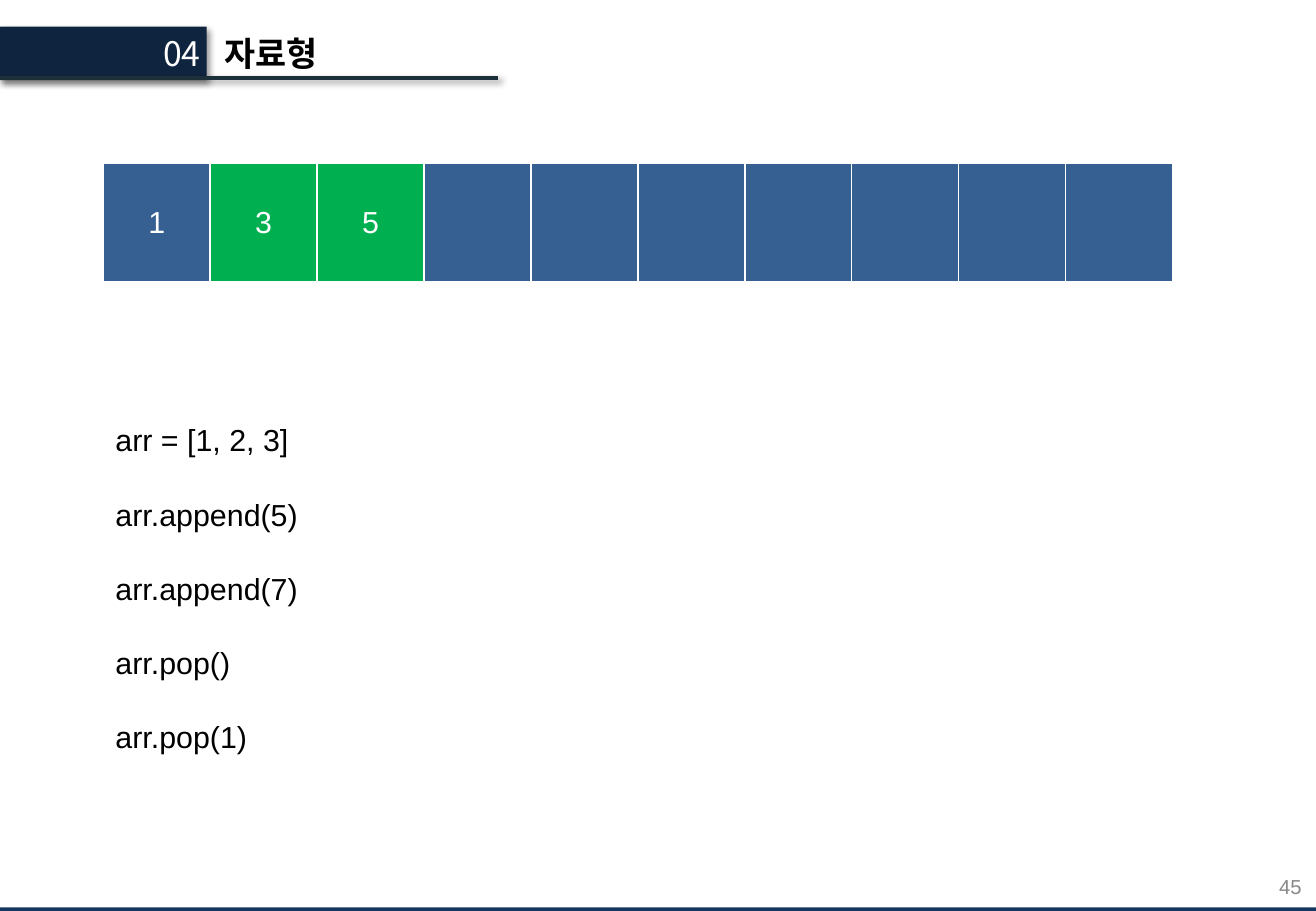
from pptx import Presentation
from pptx.util import Inches, Pt
from pptx.dml.color import RGBColor
from pptx.enum.shapes import MSO_SHAPE as Shape, MSO_CONNECTOR as Line
from pptx.enum.text import PP_ALIGN as Align, MSO_ANCHOR as Anchor, MSO_AUTO_SIZE as Fit
from pptx.oxml import parse_xml
from pptx.oxml.ns import qn
from lxml.etree import SubElement

NS = 'xmlns:a="http://schemas.openxmlformats.org/drawingml/2006/main"'
SANS, KOREAN = "Arial", "Noto Sans CJK KR"
rgb = RGBColor.from_string


def write(frame, text, size, face, color, align=Align.LEFT, bold=False):
    frame.text = text
    for para in frame.paragraphs:
        para.alignment = align
        for run in para.runs:
            font = run.font
            font.size, font.name, font.bold = Pt(size), face, bold
            font.color.rgb = rgb(color)
            SubElement(font._element, qn("a:ea"), typeface=face)


def shade(props):
    props.append(parse_xml(
        f'<a:effectLst {NS}><a:outerShdw blurRad="{Pt(4)}" dist="{Pt(3)}" '
        'dir="2700000" algn="tl" rotWithShape="0"><a:srgbClr val="000000">'
        '<a:alpha val="40000"/></a:srgbClr></a:outerShdw></a:effectLst>'))


deck = Presentation()
deck.slide_width, deck.slide_height = Inches(10.83), Inches(7.5)
slide = deck.slides.add_slide(deck.slide_layouts[1])
shapes = slide.shapes
title, body = slide.placeholders

# Footer bar and page number
bar = shapes.add_shape(Shape.RECTANGLE, Inches(-0.1), Inches(7.47), Inches(11.03), Inches(0.09))
bar.fill.solid()
bar.fill.fore_color.rgb = rgb("17365D")
bar.line.fill.background()
bar.shadow.inherit = False

page = shapes.add_textbox(Inches(8.28), Inches(7.1), Inches(2.53), Inches(0.4))
page.text_frame.word_wrap = True
page.text_frame.vertical_anchor = Anchor.MIDDLE
write(page.text_frame, "45", 12, SANS, "888888", Align.RIGHT)

# Section number on its dark tab
tab = shapes.add_shape(Shape.RECTANGLE, Inches(-0.01), Inches(0.22), Inches(1.71), Inches(0.44))
tab.fill.solid()
tab.fill.fore_color.rgb = rgb("0F243E")
tab.line.fill.background()
shade(tab._element.spPr)

number = shapes.add_textbox(Inches(1.24), Inches(0.22), Inches(0.51), Inches(0.44))
number.text_frame.word_wrap = True
write(number.text_frame, "04", 20, KOREAN, "FFFFFF", Align.RIGHT)

# Heading with its rule
rule = shapes.add_connector(Line.STRAIGHT, Inches(-0.01), Inches(0.64), Inches(4.1), Inches(0.64))
rule.line.color.rgb = rgb("1D2F39")
rule.line.width = Pt(2.25)
shade(rule._element.spPr)

title.left, title.top, title.width, title.height = map(Inches, (1.75, 0.22, 5.79, 0.44))
title.text_frame.vertical_anchor = Anchor.TOP
title.text_frame.auto_size = Fit.NONE
write(title.text_frame, "자료형", 20, KOREAN, "000000", bold=True)

# Array cells
values = ["1", "3", "5"] + [""] * 7
fills = ["366092"] + ["00B050"] * 2 + ["376092"] * 2 + ["366092"] * 5
edges = {"L": 1, "R": 1, "T": 1, "B": 3}
table = shapes.add_table(1, len(values), Inches(0.85), Inches(1.34), Inches(8.8), Inches(0.99)).table
table.first_row = table.horz_banding = False
for cell, value, fill in zip(table.iter_cells(), values, fills):
    cell.vertical_anchor = Anchor.MIDDLE
    write(cell.text_frame, value, 18, SANS, "FFFFFF", Align.CENTER)
    props = cell._tc.get_or_add_tcPr()
    for side, width in edges.items():
        props.append(parse_xml(
            f'<a:ln{side} {NS} w="{Pt(width)}"><a:solidFill>'
            f'<a:srgbClr val="FFFFFF"/></a:solidFill></a:ln{side}>'))
    cell.fill.solid()
    cell.fill.fore_color.rgb = rgb(fill)

# Code steps
steps = ["arr = [1, 2, 3]", "arr.append(5)", "arr.append(7)", "arr.pop()", "arr.pop(1)"]
body.left, body.top, body.width, body.height = map(Inches, (0.85, 3.42, 8.82, 2.83))
body.text_frame.auto_size = Fit.NONE
write(body.text_frame, "\n".join(steps), 18, SANS, "000000")
for i, para in enumerate(body.text_frame.paragraphs):
    props = para._p.get_or_add_pPr()
    props.set("marL", "0")
    props.set("indent", "0")
    SubElement(props, qn("a:buNone"))
    para.space_before = Pt(22.4 if i else 0)

deck.save("out.pptx")
